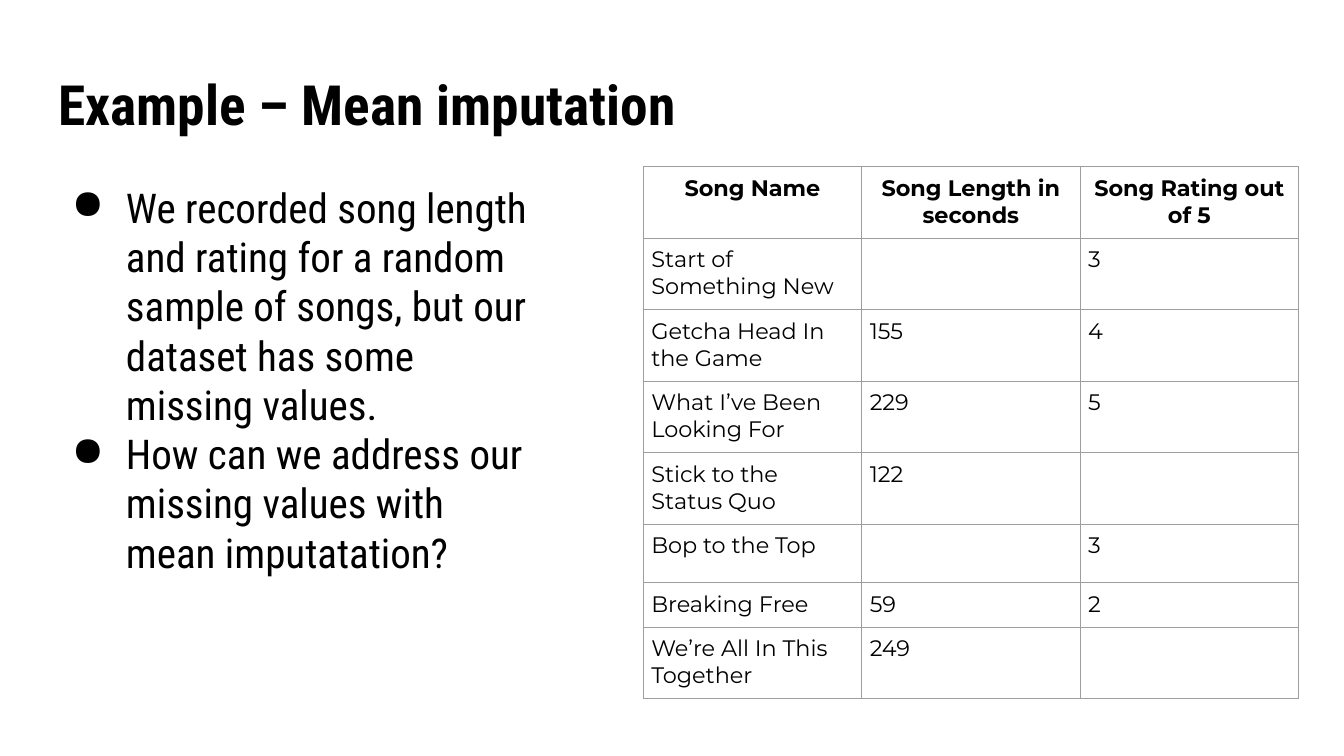
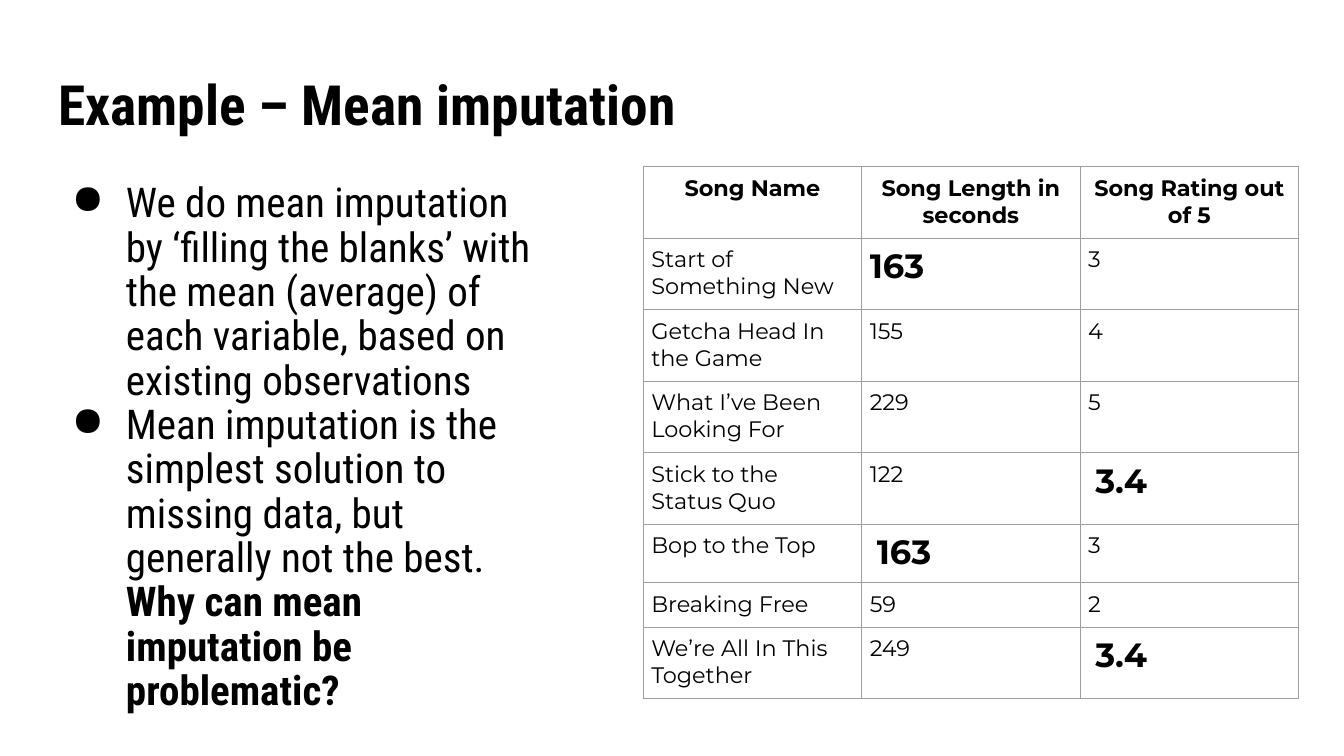
import pptx
import pptx.util
import pptx.dml.color
import pptx.enum.text
import pptx.oxml
import pptx.oxml.ns

Inches = pptx.util.Inches
Align = pptx.enum.text.PP_ALIGN
Anchor = pptx.enum.text.MSO_ANCHOR

COLORS = {"text": "000000", "border": "9E9E9E"}
TITLE_FONT = "Roboto Condensed"
TABLE_FONT = "Montserrat"
WIDTH, HEIGHT = 13.33, 7.5
MARGIN = 0.45
PADDING = 0.13
CELL_PADDING = 0.08
TABLE_BOX = (6.38, 1.65, 6.5)
ROW_HEIGHTS = [0.71] * 5 + [0.58, 0.44, 0.71]

TITLE = "Example – Mean imputation"
HEADERS = ["Song Name", "Song Length in seconds", "Song Rating out of 5"]
SONGS = [
    ("Start of Something New", None, "3"),
    ("Getcha Head In the Game", "155", "4"),
    ("What I’ve Been Looking For", "229", "5"),
    ("Stick to the Status Quo", "122", None),
    ("Bop to the Top", None, "3"),
    ("Breaking Free", "59", "2"),
    ("We’re All In This Together", "249", None),
]
SLIDES = [
    {
        "bullets": [
            [("We recorded song length and rating for a random sample of songs, "
              "but our dataset has some missing values.", False)],
            [("How can we address our missing values with mean imputatation?", False)],
        ],
        "spacing": 1.0,
        "body_height": 5.17,
        "imputed": {},
    },
    {
        "bullets": [
            [("We do mean imputation by ‘filling the blanks’ with the mean (average) "
              "of each variable, based on existing observations", False)],
            [("Mean imputation is the simplest solution to missing data, "
              "but generally not the best. ", False),
             ("Why can mean imputation be problematic?", True)],
        ],
        "spacing": 0.9,
        "body_height": 5.62,
        "imputed": {(1, 1): ("163", 0), (4, 2): ("3.4", 0.07),
                    (5, 1): ("163", 0.07), (7, 2): ("3.4", 0.07)},
    },
]


def add_text(para, text, font=TABLE_FONT, size=16, bold=False, color="text"):
    span = para.add_run()
    span.text = text
    span.font.name = font
    span.font.size = pptx.util.Pt(size)
    span.font.bold = bold
    span.font.color.rgb = pptx.dml.color.RGBColor.from_string(COLORS[color])


def set_margins(target, margin):
    target.margin_left = target.margin_right = Inches(margin)
    target.margin_top = target.margin_bottom = Inches(margin)


def add_child(parent, markup):
    namespace = pptx.oxml.ns.nsdecls("a")
    tag, rest = markup.split(" ", 1)
    parent.append(pptx.oxml.parse_xml(f"<{tag} {namespace} {rest}"))


def add_title(page):
    title = page.shapes.title
    title.left, title.top = Inches(MARGIN), Inches(0.65)
    title.width, title.height = Inches(WIDTH - 2 * MARGIN), Inches(0.84)
    frame = title.text_frame
    set_margins(frame, PADDING)
    frame.auto_size = pptx.enum.text.MSO_AUTO_SIZE.NONE
    frame.vertical_anchor = Anchor.MIDDLE
    para = frame.paragraphs[0]
    para.alignment = Align.LEFT
    para.line_spacing = 0.9
    add_text(para, TITLE, font=TITLE_FONT, size=39.6, bold=True)


def add_bullets(page, bullets, spacing, height):
    box = page.shapes.add_textbox(Inches(MARGIN), Inches(1.68), Inches(5.06), Inches(height))
    frame = box.text_frame
    frame.word_wrap = True
    set_margins(frame, PADDING)
    for index, spans in enumerate(bullets):
        para = frame.add_paragraph() if index else frame.paragraphs[0]
        para.line_spacing = spacing
        properties = para._p.get_or_add_pPr()
        properties.set("marL", str(Inches(0.67)))
        properties.set("indent", str(Inches(-0.54)))
        add_child(properties, 'a:buChar char="●"/>')
        for text, bold in spans:
            add_text(para, text, font=TITLE_FONT, size=29.3, bold=bold)


def format_cell(cell):
    set_margins(cell, CELL_PADDING)
    cell.vertical_anchor = Anchor.TOP
    properties = cell._tc.get_or_add_tcPr()
    for side in "LRTB":
        add_child(properties, f'a:ln{side} w="{pptx.util.Pt(0.6)}"><a:solidFill>'
                              f'<a:srgbClr val="{COLORS["border"]}"/></a:solidFill></a:ln{side}>')
    cell.fill.background()


def add_songs(page, imputed):
    left, top, width = TABLE_BOX
    rows = [HEADERS] + SONGS
    table = page.shapes.add_table(len(rows), len(HEADERS), Inches(left), Inches(top),
                                  Inches(width), Inches(sum(ROW_HEIGHTS))).table
    table.first_row = table.horz_banding = False
    for column in table.columns:
        column.width = Inches(width / len(HEADERS))
    for row, height in zip(table.rows, ROW_HEIGHTS):
        row.height = Inches(height)
    for row, values in enumerate(rows):
        for column, value in enumerate(values):
            cell = table.cell(row, column)
            format_cell(cell)
            para = cell.text_frame.paragraphs[0]
            if row == 0:
                para.alignment = Align.CENTER
            if value:
                add_text(para, value, bold=row == 0)
            elif (row, column) in imputed:
                mean, indent = imputed[row, column]
                cell.margin_left = Inches(CELL_PADDING + indent)
                add_text(para, mean, size=24, bold=True)


def main():
    deck = pptx.Presentation()
    deck.slide_width, deck.slide_height = Inches(WIDTH), Inches(HEIGHT)
    for content in SLIDES:
        page = deck.slides.add_slide(deck.slide_layouts[5])
        add_title(page)
        add_bullets(page, content["bullets"], content["spacing"], content["body_height"])
        add_songs(page, content["imputed"])
    deck.save("out.pptx")


if __name__ == "__main__":
    main()
